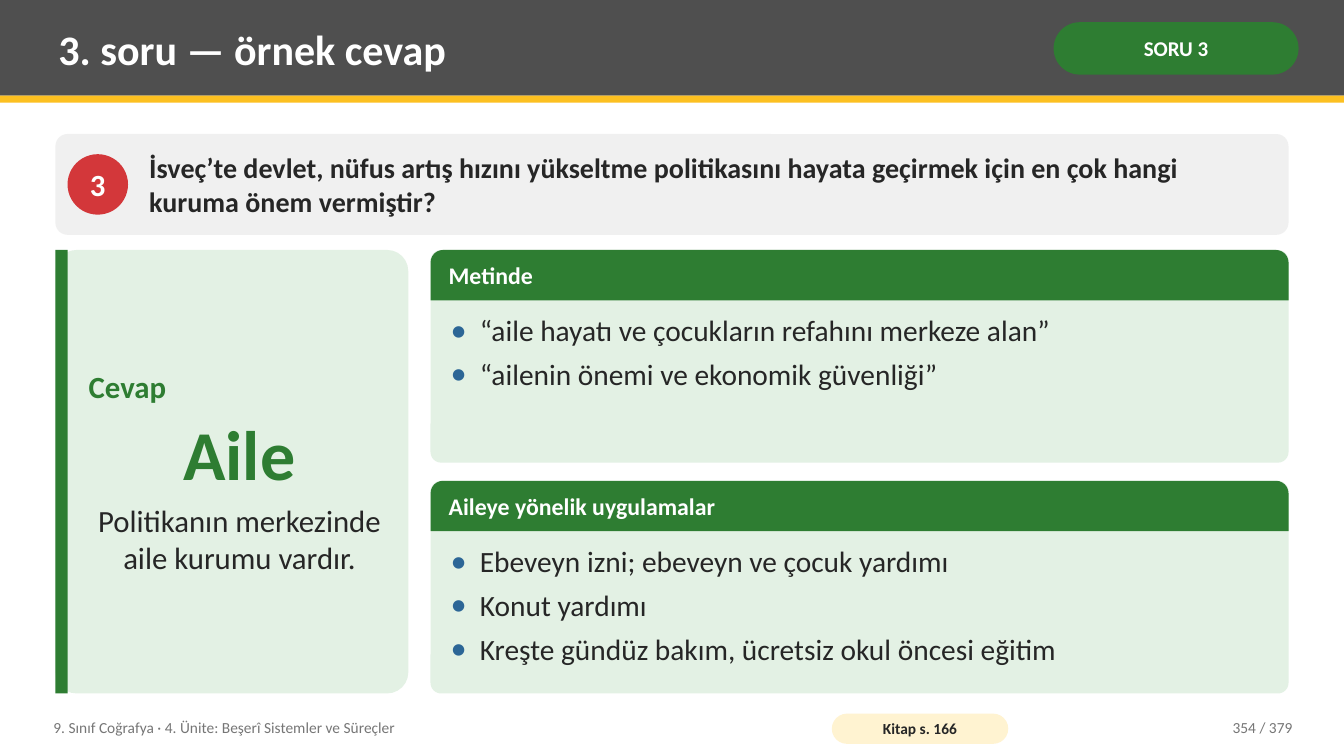
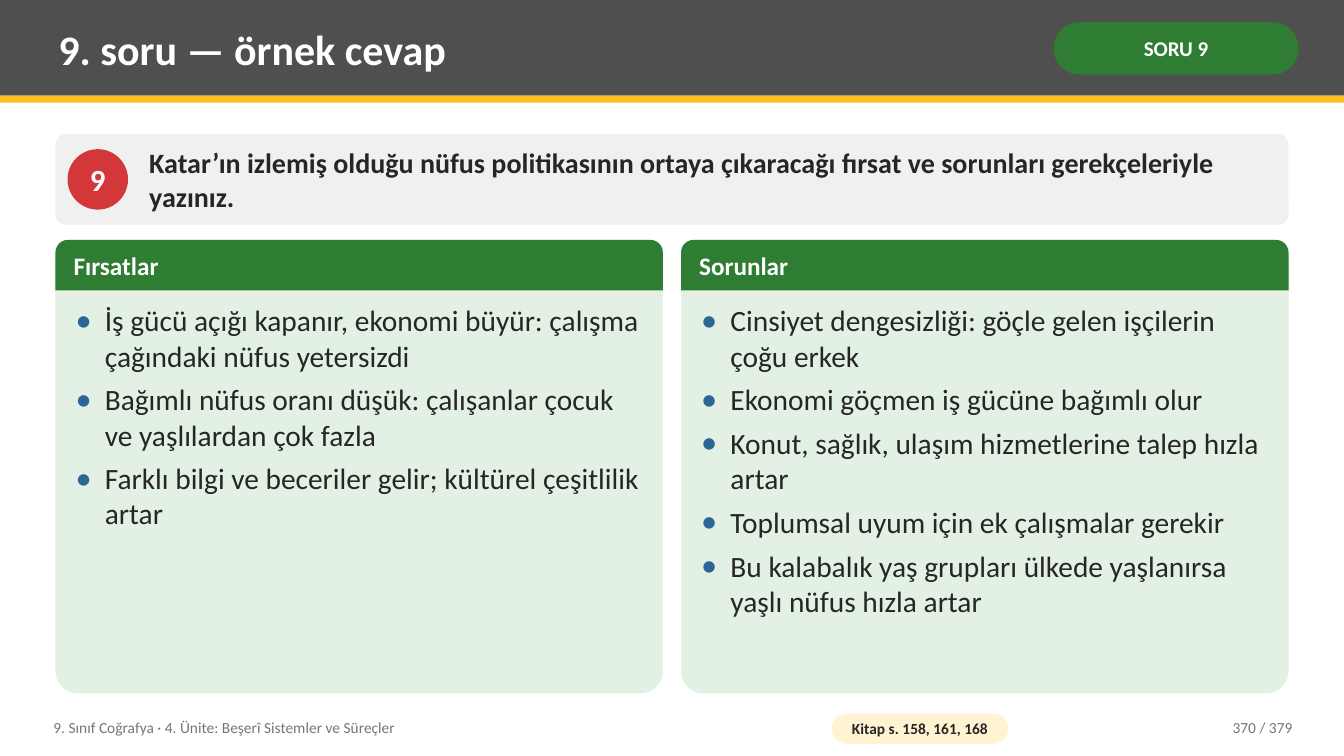
from lxml import etree
from pptx import Presentation
from pptx.dml.color import RGBColor
from pptx.enum.shapes import MSO_SHAPE
from pptx.enum.text import MSO_ANCHOR, PP_ALIGN
from pptx.oxml.ns import qn
from pptx.util import Inches, Pt

RECT, ROUND, OVAL = MSO_SHAPE.RECTANGLE, MSO_SHAPE.ROUNDED_RECTANGLE, MSO_SHAPE.OVAL
ROUND_TOP = MSO_SHAPE.ROUND_2_SAME_RECTANGLE
TOP, MIDDLE = MSO_ANCHOR.TOP, MSO_ANCHOR.MIDDLE
CENTER, RIGHT = PP_ALIGN.CENTER, PP_ALIGN.RIGHT

FONT = "Calibri"
COLORS = {
    "band": "4F4F4F", "gold": "FCC021", "green": "2E7D32", "mint": "E3F1E4",
    "panel": "F0F0F0", "red": "D3373A", "cream": "FFF3D1", "blue": "2C6696",
    "ink": "262626", "grey": "767676", "white": "FFFFFF",
}
# size, colour, bold, alignment, space after
STYLES = {
    "title": (30, "white", True, None, 0),
    "tag": (15, "white", True, CENTER, 0),
    "number": (22, "white", True, CENTER, 0),
    "question": (20, "ink", True, None, 0),
    "label": (22, "green", True, None, 4),
    "answer": (50, "green", True, CENTER, 5),
    "note": (22, "ink", False, CENTER, 0),
    "bullet": (21, "ink", False, None, 6),
    "footer": (11, "grey", False, None, 0),
    "page": (11, "grey", False, RIGHT, 0),
    "source": (11, "ink", True, CENTER, 0),
}

FOOTER = "9. Sınıf Coğrafya · 4. Ünite: Beşerî Sistemler ve Süreçler"
TOTAL = 379
SLIDES = [
    {
        "number": 3, "page": 354, "source": "Kitap s. 166",
        "question": "İsveç’te devlet, nüfus artış hızını yükseltme politikasını hayata "
                    "geçirmek için en çok hangi kuruma önem vermiştir?",
        "question_height": 1.0,
        "answer": [("Cevap", "label"), ("Aile", "answer"),
                   ("Politikanın merkezinde aile kurumu vardır.", "note")],
        "columns": 1, "heading_size": 17,
        "cards": [
            ("Metinde", ["“aile hayatı ve çocukların refahını merkeze alan”",
                         "“ailenin önemi ve ekonomik güvenliği”"]),
            ("Aileye yönelik uygulamalar", [
                "Ebeveyn izni; ebeveyn ve çocuk yardımı",
                "Konut yardımı",
                "Kreşte gündüz bakım, ücretsiz okul öncesi eğitim"]),
        ],
    },
    {
        "number": 9, "page": 370, "source": "Kitap s. 158, 161, 168",
        "question": "Katar’ın izlemiş olduğu nüfus politikasının ortaya çıkaracağı fırsat "
                    "ve sorunları gerekçeleriyle yazınız.",
        "question_height": 0.9,
        "answer": None,
        "columns": 2, "heading_size": 18,
        "cards": [
            ("Fırsatlar", [
                "İş gücü açığı kapanır, ekonomi büyür: çalışma çağındaki nüfus yetersizdi",
                "Bağımlı nüfus oranı düşük: çalışanlar çocuk ve yaşlılardan çok fazla",
                "Farklı bilgi ve beceriler gelir; kültürel çeşitlilik artar"]),
            ("Sorunlar", [
                "Cinsiyet dengesizliği: göçle gelen işçilerin çoğu erkek",
                "Ekonomi göçmen iş gücüne bağımlı olur",
                "Konut, sağlık, ulaşım hizmetlerine talep hızla artar",
                "Toplumsal uyum için ek çalışmalar gerekir",
                "Bu kalabalık yaş grupları ülkede yaşlanırsa yaşlı nüfus hızla artar"]),
        ],
    },
]

WIDTH, HEIGHT = 13.33, 7.5
LEFT, CONTENT_WIDTH = 0.55, 12.23
QUESTION_TOP, CONTENT_BOTTOM = 1.33, 6.88
BADGE, HEADING = 0.6, 0.5
CARD_GAP, QUESTION_GAP = 0.18, 0.15
ANSWER_WIDTH, ANSWER_GAP = 3.5, 0.22


def rgb(name):
    return RGBColor.from_string(COLORS[name])


def add_bullet(p):
    pPr = p._p.get_or_add_pPr()
    pPr.set("marL", str(Inches(0.29)))
    pPr.set("indent", str(-Inches(0.29)))
    color = etree.SubElement(pPr, qn("a:buClr"))
    etree.SubElement(color, qn("a:srgbClr"), val=COLORS["blue"])
    etree.SubElement(pPr, qn("a:buSzPct"), val="110000")
    etree.SubElement(pPr, qn("a:buFont"), typeface=FONT)
    etree.SubElement(pPr, qn("a:buChar"), char="•")


def write(sp, paragraphs, anchor=MIDDLE, inset=(0.08, 0.04), wrap=True, size=None):
    """Fill a shape with (text, style) paragraphs; size overrides the style's."""
    tf = sp.text_frame
    dx, dy = map(Inches, inset)
    frame = {"word_wrap": wrap, "vertical_anchor": anchor, "margin_left": dx,
             "margin_right": dx, "margin_top": dy, "margin_bottom": dy}
    for name, value in frame.items():
        setattr(tf, name, value)
    for i, (text, style) in enumerate(paragraphs):
        p = tf.add_paragraph() if i else tf.paragraphs[0]
        points, color, bold, align, after = STYLES[style]
        if style == "bullet":
            add_bullet(p)
        p.alignment = align
        if after and i < len(paragraphs) - 1:
            p.space_after = Pt(after)
        r = p.add_run()
        r.text = text
        for name, value in {"name": FONT, "size": Pt(size or points), "bold": bold}.items():
            setattr(r.font, name, value)
        r.font.color.rgb = rgb(color)


def add_block(s, kind, box, fill, adj=None):
    sp = s.shapes.add_shape(kind, *map(Inches, box))
    sp.shadow.inherit = False
    sp.fill.solid()
    sp.fill.fore_color.rgb = rgb(fill)
    sp.line.fill.background()
    if adj is not None:
        sp.adjustments[0] = adj
    return sp


def add_text(s, box, paragraphs, **options):
    write(s.shapes.add_textbox(*map(Inches, box)), paragraphs, **options)


def add_frame(s, data):
    """Title band, tag and footer shared by all slides."""
    add_block(s, RECT, (0, 0, WIDTH, 0.95), "band")
    add_block(s, RECT, (0, 0.95, WIDTH, 0.07), "gold")
    add_text(s, (0.5, 0.07, 9.75, 0.82), [(f"{data['number']}. soru — örnek cevap", "title")])
    tag = add_block(s, ROUND, (10.45, 0.22, 2.43, 0.52), "green", 0.5)
    write(tag, [(f"SORU {data['number']}", "tag")], inset=(0.05, 0.02))
    add_text(s, (0.45, 7.04, 7.6, 0.36), [(FOOTER, "footer")])
    source = add_block(s, ROUND, (8.25, 7.08, 1.75, 0.3), "cream", 0.5)
    write(source, [(data["source"], "source")], inset=(0.04, 0))
    add_text(s, (11.3, 7.04, 1.6, 0.36), [(f"{data['page']} / {TOTAL}", "page")])


def add_question(s, data):
    h = data["question_height"]
    add_block(s, ROUND, (LEFT, QUESTION_TOP, CONTENT_WIDTH, h), "panel", 0.12)
    badge_top = QUESTION_TOP + (h - BADGE) / 2
    badge = add_block(s, OVAL, (LEFT + 0.12, badge_top, BADGE, BADGE), "red")
    write(badge, [(str(data["number"]), "number")], inset=(0, 0), wrap=False)
    add_text(s, (1.4, QUESTION_TOP, 11.28, h), [(data["question"], "question")])


def add_answer(s, top, h, paragraphs):
    add_block(s, ROUND, (LEFT, top, ANSWER_WIDTH, h), "mint", 0.06)
    add_block(s, RECT, (LEFT, top, 0.12, h), "green")
    add_text(s, (LEFT + 0.25, top + 0.06, ANSWER_WIDTH - 0.35, h - 0.12), paragraphs)


def add_card(s, box, heading, items, heading_size):
    x, y, w, h = box
    add_block(s, ROUND, box, "mint", 0.05)
    add_block(s, ROUND_TOP, (x, y, w, HEADING), "green", 0.25)
    add_text(s, (x + 0.1, y, w - 0.2, HEADING), [(heading, "tag")][:0] or
             [(heading, "heading")], size=heading_size)
    add_text(s, (x + 0.12, y + HEADING + 0.08, w - 0.24, h - HEADING - 0.16),
             [(item, "bullet") for item in items], anchor=TOP)


STYLES["heading"] = (17, "white", True, None, 0)


def add_content(s, data):
    top = QUESTION_TOP + data["question_height"] + QUESTION_GAP
    height = CONTENT_BOTTOM - top
    left, width = LEFT, CONTENT_WIDTH
    if data["answer"]:
        add_answer(s, top, height, data["answer"])
        left += ANSWER_WIDTH + ANSWER_GAP
        width -= ANSWER_WIDTH + ANSWER_GAP
    columns = data["columns"]
    rows = len(data["cards"]) // columns
    w = (width - CARD_GAP * (columns - 1)) / columns
    h = (height - CARD_GAP * (rows - 1)) / rows
    for i, (heading, items) in enumerate(data["cards"]):
        row, column = divmod(i, columns)
        box = (left + column * (w + CARD_GAP), top + row * (h + CARD_GAP), w, h)
        add_card(s, box, heading, items, data["heading_size"])


def main():
    prs = Presentation()
    prs.slide_width, prs.slide_height = Inches(WIDTH), Inches(HEIGHT)
    for data in SLIDES:
        s = prs.slides.add_slide(prs.slide_layouts[6])
        add_frame(s, data)
        add_question(s, data)
        add_content(s, data)
    prs.save("out.pptx")


if __name__ == "__main__":
    main()
